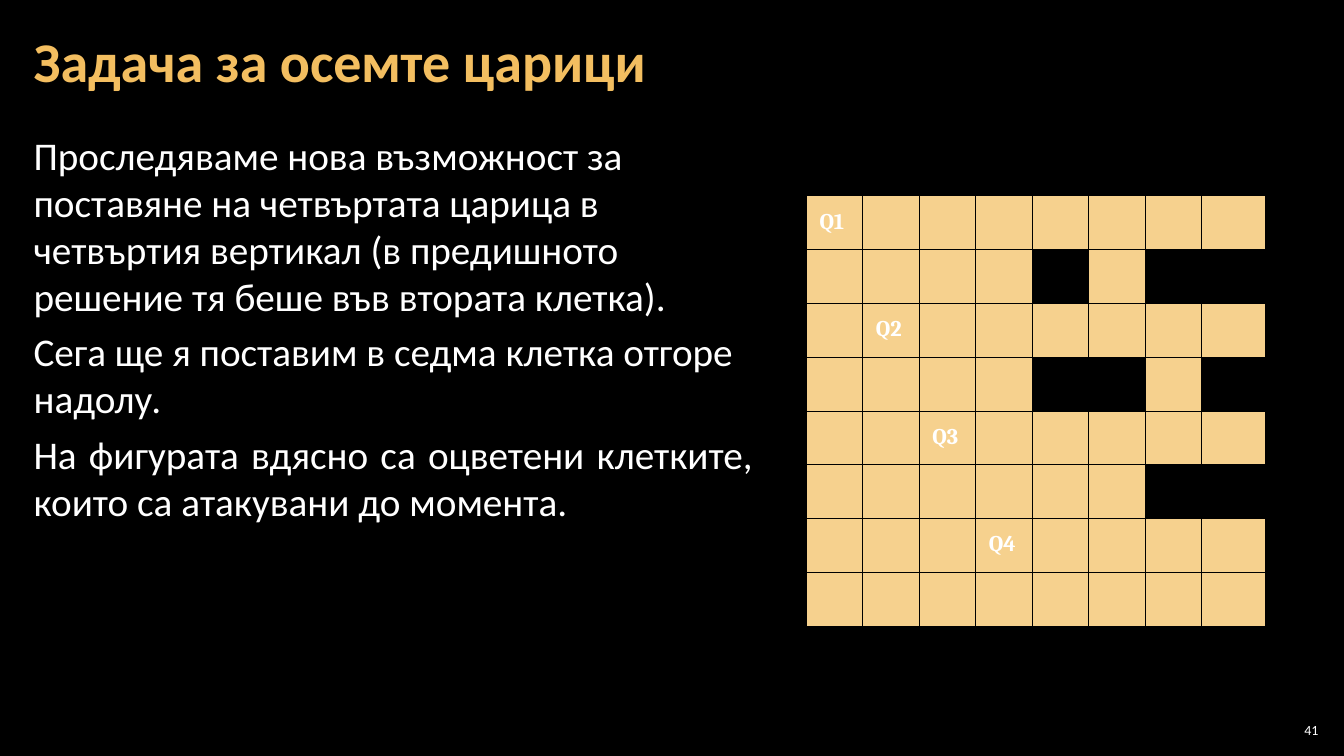
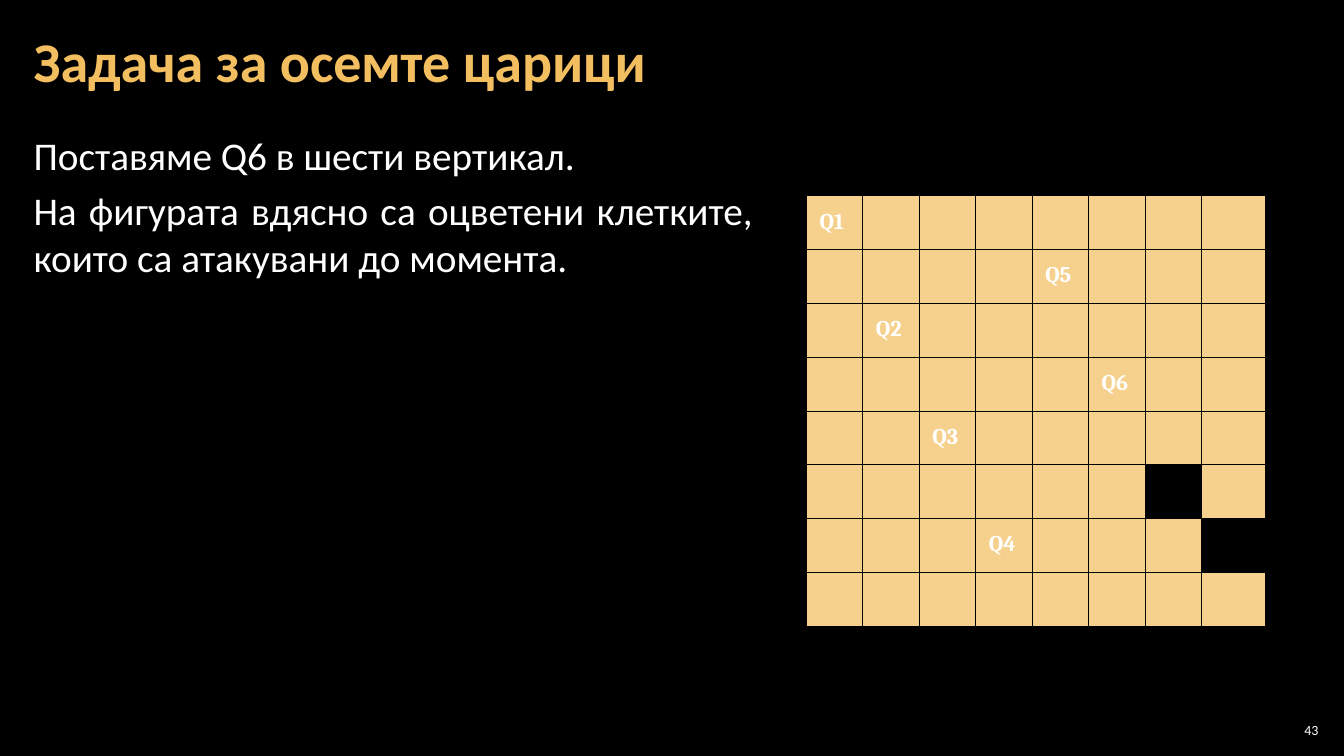
from lxml import etree
from pptx import Presentation
from pptx.dml.color import RGBColor
from pptx.enum.text import MSO_ANCHOR as Anchor, PP_ALIGN as Align
from pptx.oxml.ns import qn
from pptx.util import Inches, Pt

COLORS = {"background": "000000", "title": "F3BE60", "text": "FFFFFF",
          "attacked": "F6D18E", "grid": "000000"}
BOARD_SIZE = 8
COLORED_CELLS = "На фигурата вдясно са оцветени клетките, които са атакувани до момента."


def is_attacked(row, column, queens):
    """A queen covers her own row, column and both diagonals."""
    return any(row == queen_row or column == queen_column
               or abs(row - queen_row) == abs(column - queen_column)
               for queen_row, queen_column in queens)


class Deck:
    """Shared style and the current slide; lengths are percent of the slide."""

    text_font = "Calibri"
    board_font = "Cambria"

    def __init__(self):
        self.presentation = Presentation()
        self.presentation.slide_width = Inches(13.33)
        self.presentation.slide_height = Inches(7.5)
        self.slide = None

    def across(self, share):
        return round(self.presentation.slide_width * share / 100)

    def down(self, share):
        return round(self.presentation.slide_height * share / 100)

    def color(self, name):
        return RGBColor.from_string(COLORS[name])

    def new_slide(self):
        self.slide = self.presentation.slides.add_slide(
            self.presentation.slide_layouts[6])
        fill = self.slide.background.fill
        fill.solid()
        fill.fore_color.rgb = self.color("background")

    def run(self, paragraph, text, size, color="text", bold=False, font=text_font):
        run = paragraph.add_run()
        run.text = text
        run.font.name, run.font.size, run.font.bold = font, Pt(size), bold
        run.font.color.rgb = self.color(color)

    def text_frame(self, left, top, width, height, anchor=Anchor.MIDDLE, side=0.12):
        shape = self.slide.shapes.add_textbox(
            self.across(left), self.down(top), self.across(width), self.down(height))
        frame = shape.text_frame
        frame.word_wrap = True
        frame.vertical_anchor = anchor
        frame.margin_left = frame.margin_right = Inches(side)
        frame.margin_top = frame.margin_bottom = Inches(0.04)
        return frame

    def title(self, text):
        paragraph = self.text_frame(1.6, 0.5, 96.85, 16.1).paragraphs[0]
        paragraph.line_spacing = 0.9
        self.run(paragraph, text, 40, "title", bold=True)

    def body(self, paragraphs):
        frame = self.text_frame(1.6, 16.8, 55.3, 81.2, Anchor.TOP)
        for index, (text, alignment) in enumerate(paragraphs):
            paragraph = frame.add_paragraph() if index else frame.paragraphs[0]
            paragraph.alignment = alignment
            paragraph.space_after = Pt(6)
            self.run(paragraph, text, 28)

    def page_number(self, number):
        frame = self.text_frame(94.9, 95.2, 3.5, 2.8, side=0.04)
        frame.paragraphs[0].alignment = Align.RIGHT
        self.run(frame.paragraphs[0], str(number), 10)

    def cell_borders(self, cell):
        properties = cell._tc.get_or_add_tcPr()
        for side in ("lnL", "lnR", "lnT", "lnB"):
            line = etree.SubElement(properties, qn(f"a:{side}"), w=str(Pt(0.75)))
            fill = etree.SubElement(line, qn("a:solidFill"))
            etree.SubElement(fill, qn("a:srgbClr"), val=COLORS["grid"])

    def board(self, queens, unmarked=()):
        """Queens are (row, column) in order; unmarked cells stay uncolored."""
        widths = [4.2] * (BOARD_SIZE - 1) + [4.72]
        row_height = 7.12
        table = self.slide.shapes.add_table(
            BOARD_SIZE, BOARD_SIZE, self.across(60), self.down(25.9),
            self.across(sum(widths)), self.down(row_height * BOARD_SIZE)).table
        table.first_row = table.horz_banding = False
        for column, width in zip(table.columns, widths):
            column.width = self.across(width)
        for row in table.rows:
            row.height = self.down(row_height)

        for row in range(BOARD_SIZE):
            for column in range(BOARD_SIZE):
                cell, position = table.cell(row, column), (row, column)
                self.cell_borders(cell)
                if is_attacked(row, column, queens) and position not in unmarked:
                    cell.fill.solid()
                    cell.fill.fore_color.rgb = self.color("attacked")
                else:
                    cell.fill.background()
                if position in queens:
                    cell.margin_left = cell.margin_right = Inches(0.13)
                    cell.margin_top = cell.margin_bottom = Inches(0.13)
                    self.run(cell.text_frame.paragraphs[0],
                             f"Q{queens.index(position) + 1}", 16,
                             bold=True, font=self.board_font)

    def queens_slide(self, number, paragraphs, queens, unmarked=()):
        self.new_slide()
        self.body(paragraphs)
        self.title("Задача за осемте царици")
        self.board(queens, unmarked)
        self.page_number(number)


def main():
    deck = Deck()
    first_queens = [(0, 0), (2, 1), (4, 2), (6, 3)]

    # Fourth queen moved to the seventh cell
    deck.queens_slide(41, [
        ("Проследяваме нова възможност за поставяне на четвъртата царица в "
         "четвъртия вертикал (в предишното решение тя беше във втората клетка).",
         Align.LEFT),
        ("Сега ще я поставим в седма клетка отгоре надолу.", Align.LEFT),
        (COLORED_CELLS, Align.JUSTIFY),
    ], first_queens)

    # Sixth queen placed
    deck.queens_slide(43, [
        ("Поставяме Q6 в шести вертикал.", Align.JUSTIFY),
        (COLORED_CELLS, Align.JUSTIFY),
    ], first_queens + [(1, 4), (3, 5)], unmarked=[(6, 7)])

    deck.presentation.save("out.pptx")


if __name__ == "__main__":
    main()
